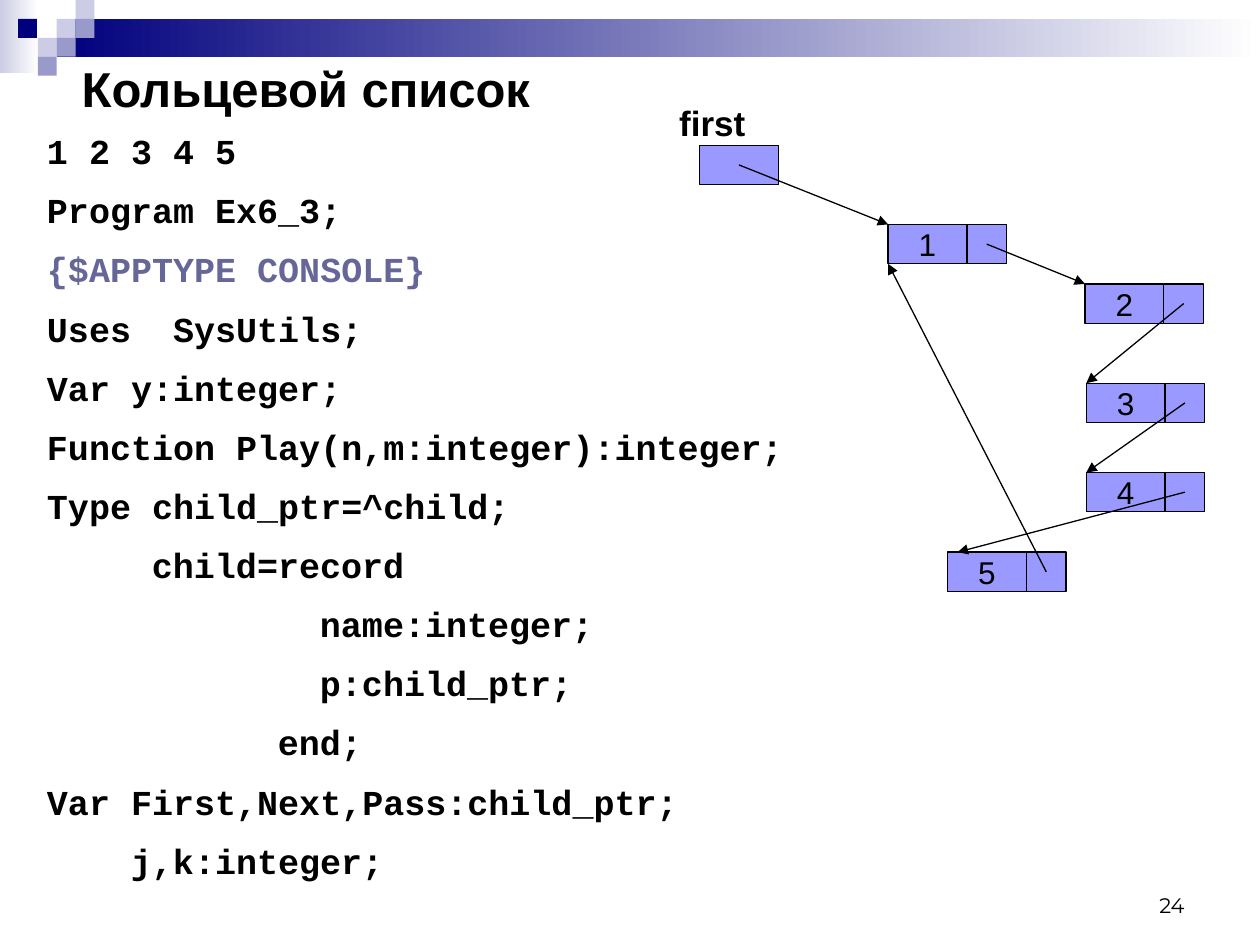
from dataclasses import dataclass
from typing import Optional

import lxml.etree
import pptx
import pptx.dml.color
import pptx.enum.shapes
import pptx.enum.text
import pptx.oxml.ns
import pptx.util

Pt = pptx.util.Pt
ALIGN = pptx.enum.text.PP_ALIGN
ANCHOR = pptx.enum.text.MSO_ANCHOR
RECTANGLE = pptx.enum.shapes.MSO_SHAPE.RECTANGLE

COLORS = {
    "navy": "00007D",
    "pale": "CCCCE6",
    "mid": "9999CC",
    "cell": "9999FF",
    "directive": "666699",
    "black": "000000",
    "white": "FFFFFF",
}

SQUARE = 10.8
VALUE_WIDTH, POINTER_WIDTH, CELL_HEIGHT = 45, 22.75, 22.5
CODE_COLUMN = 12
CODE_HANG = 27


@dataclass(frozen=True)
class Node:
    value: str
    left: float
    top: float

    @property
    def pointer(self) -> tuple[float, float]:
        return (self.left + VALUE_WIDTH + POINTER_WIDTH / 2, self.top + CELL_HEIGHT / 2)


@dataclass(frozen=True)
class CodeLine:
    text: str
    columns: int = 0
    color: str = "black"


@dataclass(frozen=True)
class Square:
    left: float
    top: float
    color: str


NODES = [
    Node("1", 507.5, 128.25),
    Node("2", 620, 162.25),
    Node("3", 620.75, 219),
    Node("4", 620.75, 270),
    Node("5", 541.5, 315.5),
]

CODE = [
    CodeLine("1 2 3 4 5"),
    CodeLine("Program Ex6_3;"),
    CodeLine("{$APPTYPE CONSOLE}", color="directive"),
    CodeLine("Uses  SysUtils;"),
    CodeLine("Var y:integer;"),
    CodeLine("Function Play(n,m:integer):integer;"),
    CodeLine("Type child_ptr=^child;"),
    CodeLine("child=record", 5),
    CodeLine("name:integer;", 13),
    CodeLine("p:child_ptr;", 13),
    CodeLine("end;", 11),
    CodeLine("Var First,Next,Pass:child_ptr;"),
    CodeLine("j,k:integer;", 4),
]

SQUARES = [
    Square(32.4, 10.8, "pale"),
    Square(43.2, 0, "pale"),
    Square(43.2, 10.8, "mid"),
    Square(21.6, 21.6, "pale"),
    Square(10.3, 10.8, "navy"),
    Square(32.4, 21.6, "mid"),
    Square(21.6, 32.4, "mid"),
]


def rgb(name: str) -> pptx.dml.color.RGBColor:
    return pptx.dml.color.RGBColor.from_string(COLORS[name])


def add_run(paragraph, text: str, size: float, font: str = "Arial",
            bold: bool = False, color: str = "black") -> None:
    run = paragraph.add_run()
    run.text = text
    run.font.name = font
    run.font.size = Pt(size)
    run.font.bold = bold
    run.font.color.rgb = rgb(color)


def add_box(slide, left: float, top: float, width: float, height: float,
            color: str, fade_to: Optional[str] = None, outlined: bool = False):
    box = slide.shapes.add_shape(RECTANGLE, Pt(left), Pt(top), Pt(width), Pt(height))
    box.shadow.inherit = False
    if fade_to:
        box.fill.gradient()
        box.fill.gradient_angle = 0
        for stop, name, position in zip(box.fill.gradient_stops, (color, fade_to), (0, 1)):
            stop.color.rgb = rgb(name)
            stop.position = position
    else:
        box.fill.solid()
        box.fill.fore_color.rgb = rgb(color)
    if outlined:
        box.line.color.rgb = rgb("black")
        box.line.width = Pt(0.75)
    else:
        box.line.fill.background()
    return box


def add_text(slide, left: float, top: float, width: float, height: float):
    frame = slide.shapes.add_textbox(Pt(left), Pt(top), Pt(width), Pt(height)).text_frame
    frame.word_wrap = True
    return frame


def add_arrow(slide, start: tuple[float, float], end: tuple[float, float]) -> None:
    arrow = slide.shapes.add_connector(
        pptx.enum.shapes.MSO_CONNECTOR.STRAIGHT, *(Pt(value) for value in (*start, *end)))
    arrow.line.color.rgb = rgb("black")
    arrow.line.width = Pt(0.75)
    qn = pptx.oxml.ns.qn
    outline = arrow._element.spPr.find(qn("a:ln"))
    lxml.etree.SubElement(outline, qn("a:tailEnd"), type="triangle")
    lxml.etree.SubElement(arrow._element.spPr, qn("a:effectLst"))


def add_node(slide, node: Node) -> None:
    value = add_box(slide, node.left, node.top, VALUE_WIDTH, CELL_HEIGHT, "cell", outlined=True)
    value.text_frame.word_wrap = False
    value.text_frame.vertical_anchor = ANCHOR.MIDDLE
    paragraph = value.text_frame.paragraphs[0]
    paragraph.alignment = ALIGN.CENTER
    add_run(paragraph, node.value, 18)
    add_box(slide, node.left + VALUE_WIDTH, node.top, POINTER_WIDTH, CELL_HEIGHT,
            "cell", outlined=True)


def add_code(slide) -> None:
    listing = add_text(slide, 19.75, 65.75, 680.5, 453.5)
    for index, line in enumerate(CODE):
        paragraph = listing.add_paragraph() if index else listing.paragraphs[0]
        paragraph.line_spacing = 1.2
        paragraph.space_before = Pt(5)
        properties = paragraph._p.get_or_add_pPr()
        properties.set("marL", str(Pt(CODE_HANG + CODE_COLUMN * line.columns)))
        properties.set("indent", str(-Pt(CODE_HANG)))
        add_run(paragraph, line.text, 20, "Courier New", True, line.color)


def add_ring(slide) -> None:
    add_box(slide, 399.75, 83, VALUE_WIDTH, CELL_HEIGHT, "cell", outlined=True)
    for node in NODES:
        add_node(slide, node)
    head, *_, last = NODES
    add_arrow(slide, (422.25, 94.25), (head.left, head.top))
    for node, following in zip(NODES, NODES[1:]):
        inset = 5.75 if following is last else 0
        add_arrow(slide, node.pointer, (following.left + inset, following.top))
    add_arrow(slide, last.pointer, (head.left, head.top + CELL_HEIGHT))
    label = add_text(slide, 381, 54.25, 60, 31.5)
    add_run(label.paragraphs[0], "first", 20, bold=True)


def main() -> None:
    deck = pptx.Presentation()
    deck.slide_width, deck.slide_height = Pt(720), Pt(540)
    slide = deck.slides.add_slide(deck.slide_layouts[5])

    add_box(slide, 0, 0, 22, 42, "pale", fade_to="white")
    add_box(slide, 32.4, 10.8, 687.6, 21.6, "navy", fade_to="white")
    for square in SQUARES:
        add_box(slide, square.left, square.top, SQUARE, SQUARE, square.color)

    title = slide.shapes.title
    title.left, title.top, title.width, title.height = Pt(39.5), Pt(33.25), Pt(680.5), Pt(34.5)
    title.text_frame.vertical_anchor = ANCHOR.MIDDLE
    heading = title.text_frame.paragraphs[0]
    heading.alignment = ALIGN.LEFT
    add_run(heading, "Кольцевой список", 28, bold=True)

    add_code(slide)
    add_ring(slide)

    page = add_text(slide, 516, 492, 168, 36)
    page.vertical_anchor = ANCHOR.BOTTOM
    page.paragraphs[0].alignment = ALIGN.RIGHT
    add_run(page.paragraphs[0], "24", 12, "Montserrat")

    deck.save("out.pptx")


if __name__ == "__main__":
    main()
